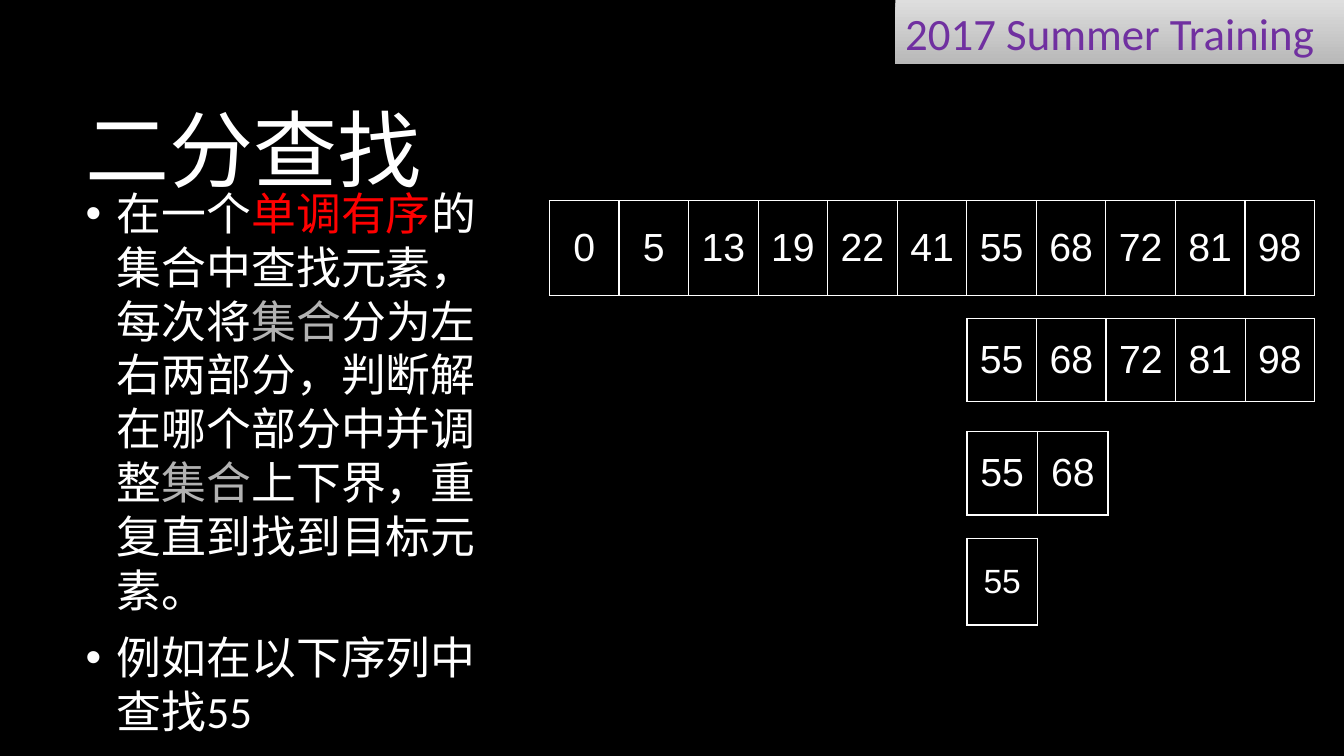
from lxml.etree import SubElement
from pptx import Presentation
from pptx.dml.color import RGBColor
from pptx.enum.shapes import MSO_SHAPE
from pptx.enum.text import MSO_ANCHOR, MSO_AUTO_SIZE, PP_ALIGN
from pptx.oxml.ns import qn
from pptx.util import Inches, Pt

WHITE, RED, GRAY = "FFFFFF", "FF0000", "B2B2B2"
CJK = "Noto Sans CJK JP"
BANNER = "2017 Summer Training"
TITLE = "二分查找"
BODY = [
    [("在一个", WHITE), ("单调有序", RED), ("的集合中查找元素，每次将", WHITE),
     ("集合", GRAY), ("分为左右两部分，判断解在哪个部分中并调整", WHITE),
     ("集合", GRAY), ("上下界，重复直到找到目标元素。", WHITE)],
    [("例如在以下序列中查找55", WHITE)],
]
NUMS = [0, 5, 13, 19, 22, 41, 55, 68, 72, 81, 98]
STEPS = [
    (0, 11, 1.99, 0.94, 0.69, 28),
    (6, 11, 3.16, 0.82, 0.69, 28),
    (6, 8, 4.28, 0.83, 0.7, 28),
    (6, 7, 5.34, 0.86, 0.7, 24),
]
LEFT, PITCH = 5.45, 0.69


def color(code):
    return RGBColor.from_string(code)


def style(run, size, code, font, east=None):
    run.font.size = Pt(size)
    run.font.name = font
    run.font.color.rgb = color(code)
    if east:
        SubElement(run.font._element, qn("a:ea"), typeface=east)


def place(shape, left, top, width, height):
    shape.left, shape.top = Inches(left), Inches(top)
    shape.width, shape.height = Inches(width), Inches(height)
    frame = shape.text_frame
    frame.word_wrap = True
    frame.auto_size = MSO_AUTO_SIZE.NONE
    frame.vertical_anchor = MSO_ANCHOR.MIDDLE
    return frame


def bullet(para):
    props = para._p.get_or_add_pPr()
    props.set("marL", str(Inches(0.31)))
    props.set("indent", str(-Inches(0.31)))
    tint = SubElement(props, qn("a:buClr"))
    SubElement(tint, qn("a:srgbClr"), val=WHITE)
    SubElement(props, qn("a:buFont"), typeface="Arial")
    SubElement(props, qn("a:buChar"), char="•")


def border(cell):
    props = cell._tc.get_or_add_tcPr()
    for spot, side in enumerate(("lnL", "lnR", "lnT", "lnB")):
        line = props.makeelement(qn("a:" + side), {"w": str(Pt(1))})
        fill = SubElement(line, qn("a:solidFill"))
        SubElement(fill, qn("a:srgbClr"), val=WHITE)
        props.insert(spot, line)


def add_step(slide, first, last, top, height, width, size):
    vals = NUMS[first:last]
    left = LEFT + first * PITCH
    table = slide.shapes.add_table(
        1, len(vals), Inches(left), Inches(top),
        Inches(width * len(vals)), Inches(height)).table
    table.first_row = table.horz_banding = False
    for col, val in enumerate(vals):
        table.columns[col].width = Inches(width)
        cell = table.cell(0, col)
        cell.fill.background()
        border(cell)
        cell.vertical_anchor = MSO_ANCHOR.MIDDLE
        cell.margin_left = cell.margin_right = Inches(0.05)
        cell.margin_top = cell.margin_bottom = Inches(0.05)
        cell.text_frame.text = str(val)
        para = cell.text_frame.paragraphs[0]
        para.alignment = PP_ALIGN.CENTER
        style(para.runs[0], size, WHITE, "Arial")


def add_banner(slide):
    shape = slide.shapes.add_shape(MSO_SHAPE.RECTANGLE, 0, 0, 0, 0)
    frame = place(shape, 8.88, 0, 4.45, 0.64)
    shape.shadow.inherit = False
    shape.line.fill.background()
    shape.fill.gradient()
    shape.fill.gradient_angle = 270
    for stop, code, spot in zip(shape.fill.gradient_stops,
                                ("DEDEDE", "B8B8B8"), (0, 1)):
        stop.color.rgb = color(code)
        stop.position = spot
    frame.text = BANNER
    para = frame.paragraphs[0]
    para.alignment = PP_ALIGN.LEFT
    style(para.runs[0], 32, "7030A0", "Calibri")


def add_title(slide):
    frame = place(slide.shapes.title, 0.75, 0.67, 11.08, 1.59)
    frame.text = TITLE
    para = frame.paragraphs[0]
    para.alignment = PP_ALIGN.LEFT
    style(para.runs[0], 60, WHITE, CJK, CJK)


def add_body(slide):
    frame = place(slide.placeholders[1], 0.75, 1.99, 4.39, 5.18)
    for row, parts in enumerate(BODY):
        para = frame.add_paragraph() if row else frame.paragraphs[0]
        para.line_spacing = Pt(38.4)
        para.space_before, para.space_after = Pt(0), Pt(10)
        bullet(para)
        for text, code in parts:
            run = para.add_run()
            run.text = text
            style(run, 32, code, "Calibri", CJK)


def main():
    deck = Presentation()
    deck.slide_width, deck.slide_height = Inches(13.33), Inches(7.5)
    slide = deck.slides.add_slide(deck.slide_layouts[1])
    slide.background.fill.solid()
    slide.background.fill.fore_color.rgb = color("000000")
    add_banner(slide)
    add_title(slide)
    add_body(slide)
    for step in STEPS:
        add_step(slide, *step)
    deck.save("out.pptx")


if __name__ == "__main__":
    main()
